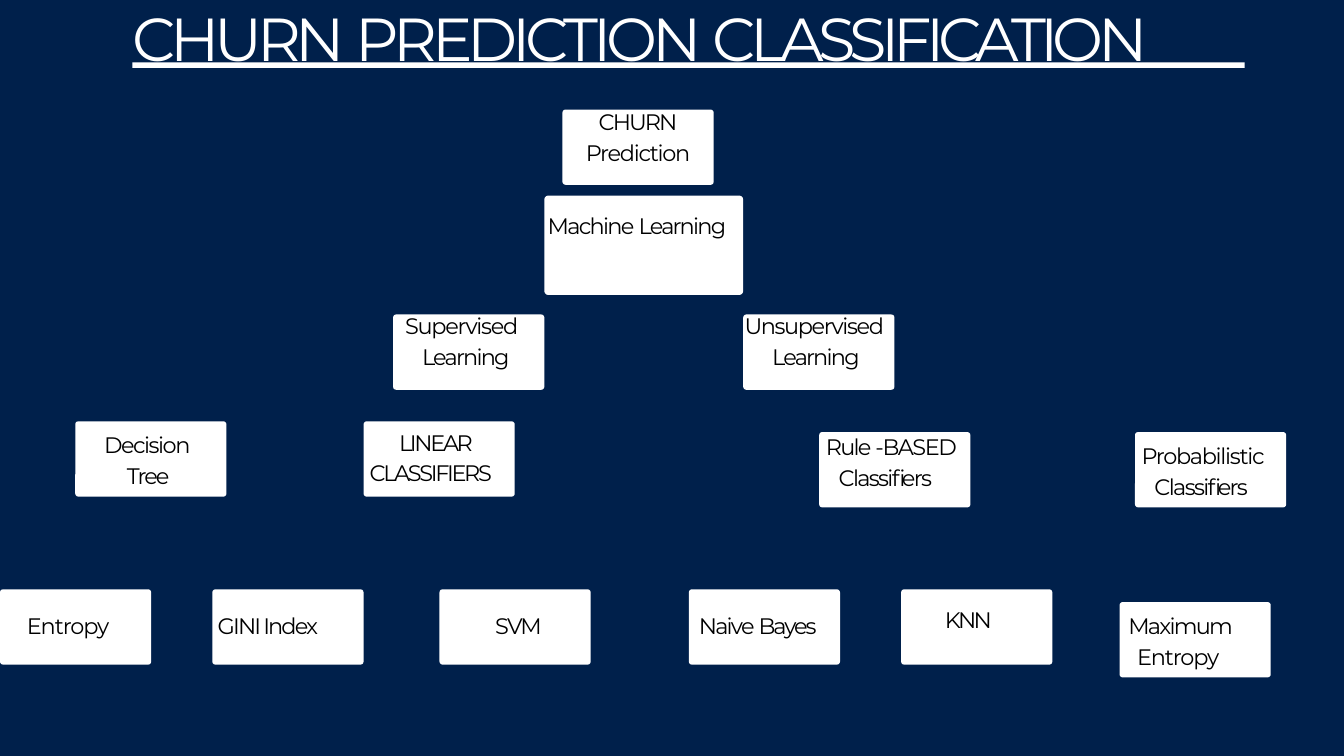
import pptx
import pptx.util
import pptx.dml.color
import pptx.enum.shapes
import pptx.enum.text

Inches, Pt = pptx.util.Inches, pptx.util.Pt
RGBColor = pptx.dml.color.RGBColor

NAVY = RGBColor(0x00, 0x20, 0x4B)
WHITE = RGBColor(0xFF, 0xFF, 0xFF)
BLACK = RGBColor(0x00, 0x00, 0x00)
FONT = "Montserrat"
SLIDE_W, SLIDE_H = 20, 11.25
BOX = (2.25, 1.12)
BIG_BOX = (2.96, 1.48)

# Runs are (text, letter spacing in points)
TITLE = [("CHURN ", -5.8), ("PREDICTION ", -5.5), ("CLASSIFICATION", -6.2)]

# Each level of the tree: nodes as (box left, box top, box size,
# label left, label top, (first line indent, next line indent), lines of runs)
LEVELS = [
    [(8.37, 1.63, BOX, 8.71, 1.54, (0.2, 0.01), [[("CHURN", -2.1)], [("Prediction", -1.4)]])],
    [(8.1, 2.91, BIG_BOX, 8.14, 3.15, (0.01, 0.01), [[("Machine ", -1.8), ("Learning", -1.9)]])],
    [
        (5.85, 4.68, BOX, 6.02, 4.58, (0.01, 0.26), [[("Supervised", -1.4)], [("Learning", -1.9)]]),
        (11.06, 4.68, BOX, 11.06, 4.58, (0.02, 0.43), [[("Unsupervised", -1.5)], [("Learning", -1.9)]]),
    ],
    [
        (1.12, 6.27, BOX, 1.54, 6.34, (0.01, 0.35), [[("Decision", -1.6)], [("Tree", -2.1)]]),
        (5.41, 6.27, BOX, 5.49, 6.31, (0.45, 0.01), [[("LINEAR", -2.5)], [("CLASSIFIERS", -2.5)]]),
        (12.19, 6.43, BOX, 12.28, 6.37, (0.01, 0.2),
         [[("Rule ", -1.9), ("-BASED", -1.6)], [("Classifiers", -1.8)]]),
        (16.89, 6.43, BOX, 16.98, 6.51, (0.01, 0.2), [[("Probabilistic", -1.4)], [("Classifiers", -1.8)]]),
    ],
    [
        (0, 8.77, BOX, 0.39, 9.1, (0.01, 0.01), [[("Entropy", -1.2)]]),
        (3.16, 8.77, BOX, 3.23, 9.1, (0.01, 0.01), [[("GINI Index", -2)]]),
        (6.54, 8.77, BOX, 7.36, 9.1, (0.01, 0.01), [[("SVM", -2.1)]]),
        (10.25, 8.77, BOX, 10.39, 9.1, (0.01, 0.01), [[("Naive ", -1.9), ("Bayes", -2.2)]]),
        (13.41, 8.77, BOX, 14.05, 9.01, (0.01, 0.01), [[("KNN", -2.8)]]),
        (16.66, 8.96, BOX, 16.77, 9.04, (0.02, 0.15), [[("Maximum", -1.9)], [("Entropy", -1.2)]]),
    ],
]


def add_box(slide, kind, left, top, width, height):
    sp = slide.shapes.add_shape(kind, Inches(left), Inches(top), Inches(width), Inches(height))
    sp.shadow.inherit = False
    sp.fill.solid()
    sp.fill.fore_color.rgb = WHITE
    sp.line.fill.background()
    return sp


def write_text(tf, lines, size, color, indents):
    tf.word_wrap = True
    tf.auto_size = pptx.enum.text.MSO_AUTO_SIZE.NONE
    tf.vertical_anchor = pptx.enum.text.MSO_ANCHOR.TOP
    tf.margin_left = tf.margin_right = tf.margin_bottom = 0
    tf.margin_top = Inches(0.01)
    p = tf.paragraphs[0]
    p.alignment = pptx.enum.text.PP_ALIGN.LEFT
    p.line_spacing = 1.15 if len(lines) > 1 else 1.0
    first, rest = indents
    pPr = p._p.get_or_add_pPr()
    pPr.set("marL", str(Inches(rest)))
    pPr.set("indent", str(Inches(first) - Inches(rest)))
    p.font.name, p.font.size, p.font.color.rgb = FONT, Pt(size), color
    for i, runs in enumerate(lines):
        if i:
            p.add_line_break()
        for text, spacing in runs:
            r = p.add_run()
            r.text = text
            r.font.name, r.font.size, r.font.color.rgb = FONT, Pt(size), color
            r._r.get_or_add_rPr().set("spc", str(round(spacing * 100)))


def main():
    prs = pptx.Presentation()
    prs.slide_width, prs.slide_height = Inches(SLIDE_W), Inches(SLIDE_H)
    slide = prs.slides.add_slide(prs.slide_layouts[5])
    slide.background.fill.solid()
    slide.background.fill.fore_color.rgb = NAVY
    shapes = pptx.enum.shapes.MSO_SHAPE

    # Title and its rule
    add_box(slide, shapes.RECTANGLE, 1.97, 0.93, 16.55, 0.08)
    title = slide.shapes.title
    title.left, title.top = Inches(1.96), 0
    title.width, title.height = Inches(16.58), Inches(1.11)
    write_text(title.text_frame, [TITLE], 65, WHITE, (0.01, 0.01))

    # Tree nodes
    for level in LEVELS:
        for left, top, (width, height), text_left, text_top, indents, lines in level:
            sp = add_box(slide, shapes.ROUNDED_RECTANGLE, left, top, width, height)
            sp.adjustments[0] = 0.04
            label = slide.shapes.add_textbox(
                Inches(text_left), Inches(text_top),
                Inches(left + width - text_left), Inches(0.01 + 0.46 * len(lines)))
            write_text(label.text_frame, lines, 24, BLACK, indents)

    prs.save("out.pptx")


if __name__ == "__main__":
    main()
